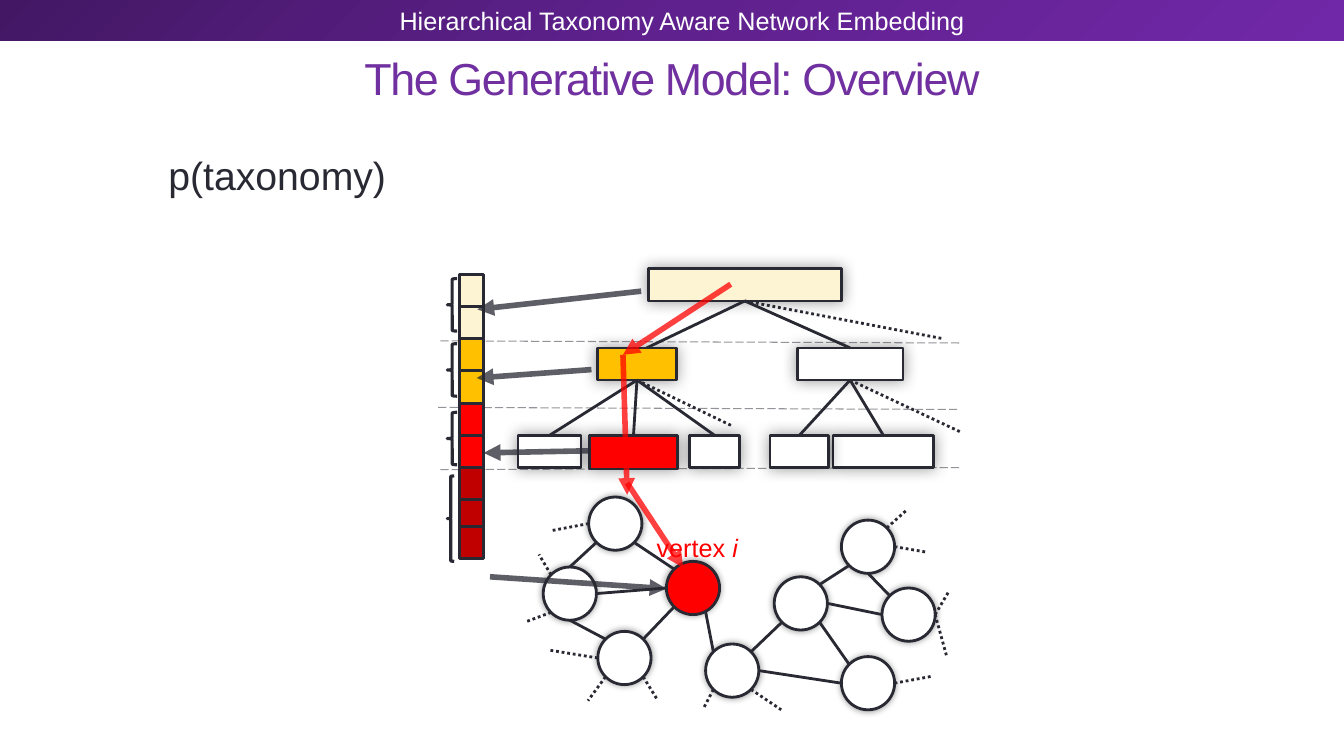
from copy import deepcopy
from dataclasses import dataclass
from math import cos, radians, sin

from pptx import Presentation
from pptx.dml.color import RGBColor
from pptx.enum.dml import MSO_LINE as DASH
from pptx.enum.shapes import MSO_CONNECTOR as CONN, MSO_SHAPE as SHAPE
from pptx.enum.text import MSO_ANCHOR as ANCHOR, PP_ALIGN as ALIGN
from pptx.oxml.ns import qn
from pptx.oxml.xmlchemy import OxmlElement
from pptx.util import Pt

INK = RGBColor(0x29, 0x29, 0x34)
WHITE = RGBColor(0xFF, 0xFF, 0xFF)
PURPLE = RGBColor(0x70, 0x30, 0xA0)
CREAM = RGBColor(0xFD, 0xF4, 0xD3)
AMBER = RGBColor(0xFF, 0xC0, 0x00)
RED = RGBColor(0xFF, 0x00, 0x00)
DARK_RED = RGBColor(0xC0, 0x00, 0x00)
BANNER = [(0, RGBColor(0x43, 0x17, 0x64)), (0.5, RGBColor(0x5F, 0x21, 0x8E)),
          (1, RGBColor(0x71, 0x28, 0xA8))]

Point = tuple[float, float]
DIAMETER = 38
BEARING = {"E": 0, "SE": 45, "S": 90, "SW": 135, "W": 180, "NW": 225, "N": 270, "NE": 315}


@dataclass
class Node:
    x: float
    y: float
    fill: RGBColor = WHITE

    def site(self, side: str) -> Point:
        a, r = radians(BEARING[side]), DIAMETER / 2
        return self.x + r + r * cos(a), self.y + r + r * sin(a)


@dataclass
class Box:
    x: float
    y: float
    w: float
    fill: RGBColor = WHITE
    h: float = 23

    @property
    def top(self) -> Point:
        return self.x + self.w / 2, self.y

    @property
    def bottom(self) -> Point:
        return self.x + self.w / 2, self.y + self.h


@dataclass
class Band:
    fill: RGBColor
    cell_tops: list[float]
    brace_y: float
    brace_w: float = 7
    brace_h: float = 37.5


prs = Presentation()
prs.slide_width, prs.slide_height = Pt(960), Pt(540)
slide = prs.slides.add_slide(prs.slide_layouts[6])


def add_xml(parent, tag: str, **attrs):
    child = OxmlElement(tag)
    for name, value in attrs.items():
        child.set(name, str(value))
    parent.append(child)
    return child


def shape(kind, x: float, y: float, w: float, h: float, fill: RGBColor,
          weight: float = 2, blur: float = 0):
    sp = slide.shapes.add_shape(kind, Pt(x), Pt(y), Pt(w), Pt(h))
    sp.fill.solid()
    sp.fill.fore_color.rgb = fill
    sp.line.color.rgb = INK
    sp.line.width = Pt(weight)
    sp.shadow.inherit = False
    if blur:
        effects = sp._element.spPr.find(qn("a:effectLst"))
        glow = add_xml(effects, "a:outerShdw", blurRad=int(Pt(blur)), dist=0, dir=0,
                       algn="ctr", rotWithShape=0)
        add_xml(add_xml(glow, "a:srgbClr", val="000000"), "a:alpha", val=40000)
    return sp


def line(start: Point, end: Point, color: RGBColor = INK, weight: float = 2,
         dash=None, alpha: int = 100, arrow: bool = False) -> None:
    c = slide.shapes.add_connector(CONN.STRAIGHT, *(Pt(v) for v in (*start, *end)))
    c.line.color.rgb = color
    c.line.width = Pt(weight)
    if dash:
        c.line.dash_style = dash
    ln = c._element.spPr.find(qn("a:ln"))
    if alpha < 100:
        add_xml(ln.find(".//" + qn("a:srgbClr")), "a:alpha", val=alpha * 1000)
    if arrow:
        add_xml(ln, "a:tailEnd", type="triangle")
    add_xml(c._element.spPr, "a:effectLst")


def text(words: str, x: float, y: float, w: float, h: float, *, size: float,
         color: RGBColor, align=ALIGN.LEFT, anchor=ANCHOR.TOP, italic: str = "",
         spacing: int = 0) -> None:
    tf = slide.shapes.add_textbox(Pt(x), Pt(y), Pt(w), Pt(h)).text_frame
    tf.word_wrap = True
    tf.vertical_anchor = anchor
    p = tf.paragraphs[0]
    p.alignment = align
    for part, slanted in ((words, False), (italic, True)):
        if part:
            r = p.add_run()
            r.text = part
            r.font.name, r.font.size, r.font.color.rgb = "Arial", Pt(size), color
            if slanted:
                r.font.italic = True
            if spacing:
                r._r.get_or_add_rPr().set("spc", str(spacing))


def banner() -> None:
    sp = shape(SHAPE.RECTANGLE, 0, 0, 960, 29, WHITE)
    sp.line.fill.background()
    sp.fill.gradient()
    sp.fill.gradient_angle = 315
    stops = sp._element.spPr.find(".//" + qn("a:gsLst"))
    stops.insert(1, deepcopy(stops[0]))
    for stop, (position, color) in zip(sp.fill.gradient_stops, BANNER):
        stop.position, stop.color.rgb = position, color


def network() -> None:
    a, b, c = Node(388, 405), Node(427, 451), Node(420.5, 355)
    d, e, f = Node(504, 460), Node(553, 412), Node(601, 371.5)
    g, h, vertex = Node(601, 469), Node(630, 420), Node(476, 401, RED)
    edges = [(c, "SE", vertex, "NW"), (a, "E", vertex, "W"), (b, "NE", vertex, "SW"),
             (e, "SW", d, "NE"), (c, "SW", a, "N"), (b, "NW", a, "S"),
             (f, "SW", e, "NE"), (g, "NW", e, "SE"), (h, "NW", f, "S"),
             (h, "W", e, "E"), (g, "W", d, "E")]
    stubs = [(h, "E", (678, 422)), (h, "E", (676, 468)), (g, "E", (666, 483)),
             (f, "E", (662.5, 394.5)), (f, "NE", (648, 364)), (b, "SW", (420, 500.5)),
             (d, "SW", (502.5, 506)), (b, "SE", (470, 500.5)), (a, "SW", (376, 444)),
             (b, "W", (393, 464.5)), (c, "W", (394, 379)), (a, "NW", (385, 396)),
             (d, "SE", (558, 507))]
    for n in (a, b, c, d, e, f, g, h, vertex):
        shape(SHAPE.FLOWCHART_CONNECTOR, n.x, n.y, DIAMETER, DIAMETER, n.fill, blur=5)
    for n, side, other, other_side in edges:
        line(n.site(side), other.site(other_side))
    line((504, 437), d.site("NW"))
    for n, side, end in stubs:
        line(n.site(side), end, dash=DASH.ROUND_DOT)


def taxonomy() -> None:
    root = Box(463, 192, 138, CREAM)
    left, right = Box(427, 248.5, 56, AMBER), Box(569.5, 248.5, 75.5)
    left_leaves = [Box(370, 311, 45), Box(421, 311, 63, RED, 24), Box(492.5, 311, 36)]
    right_leaves = [Box(595, 311, 72), Box(550, 311, 42)]
    for b in (root, left, right, *left_leaves, *right_leaves):
        shape(SHAPE.RECTANGLE, b.x, b.y, b.w, b.h, b.fill, blur=11)
    line(root.bottom, (462, left.y))
    line(root.bottom, right.top)
    for parent, leaves in ((left, left_leaves), (right, right_leaves)):
        for leaf in leaves:
            line(parent.bottom, leaf.top)
    for parent, end in ((root, (674, 242)), (left, (523.5, 304.5)), (right, (687, 309))):
        line(parent.bottom, end, dash=DASH.ROUND_DOT)
    # Level separators
    for x, y1, y2 in ((314.5, 335.5, 334), (314.5, 243.5, 245), (313, 291, 292.5)):
        line((x, y1), (x + 372, y2), weight=0.75, dash=DASH.LONG_DASH, alpha=50)


def embedding_vector() -> None:
    tops = [196 + 23 * i for i in range(8)] + [376]
    for band in (Band(CREAM, tops[:2], 199), Band(AMBER, tops[2:4], 245.5),
                 Band(RED, tops[4:6], 294.5), Band(DARK_RED, tops[6:], 340, 5, 61)):
        for y in band.cell_tops:
            shape(SHAPE.RECTANGLE, 328.3, y, 17.3, 23, band.fill, weight=2.08)
        shape(SHAPE.LEFT_BRACE, 319.5, band.brace_y, band.brace_w, band.brace_h,
              WHITE, weight=2.25)


def arrows() -> None:
    for color, start, end in (
            (INK, (458, 208), (341, 221)), (INK, (422.5, 264), (340.5, 270)),
            (INK, (421, 322), (345.5, 323.5)), (INK, (350, 412), (476, 420.5)),
            (RED, (445, 253.5), (448, 353.5)), (RED, (522, 203), (445, 253.5)),
            (RED, (448, 345), (488, 405.5))):
        line(start, end, color, 4, alpha=75, arrow=True)


# Headings
banner()
text("p(taxonomy)", 106, 104.5, 184, 47, size=28, color=INK, align=ALIGN.CENTER)
text("The Generative Model: Overview", 26.5, 37.5, 907, 36, size=32, color=PURPLE,
     align=ALIGN.CENTER, anchor=ANCHOR.MIDDLE, spacing=-100)
text("Hierarchical Taxonomy Aware Network Embedding", 264, 1.5, 432, 26, size=18,
     color=WHITE, align=ALIGN.RIGHT, anchor=ANCHOR.MIDDLE)

# Diagram
network()
text("vertex ", 462, 376.5, 81, 29, size=18, color=RED, italic="i")
taxonomy()
embedding_vector()
arrows()

prs.save("out.pptx")
